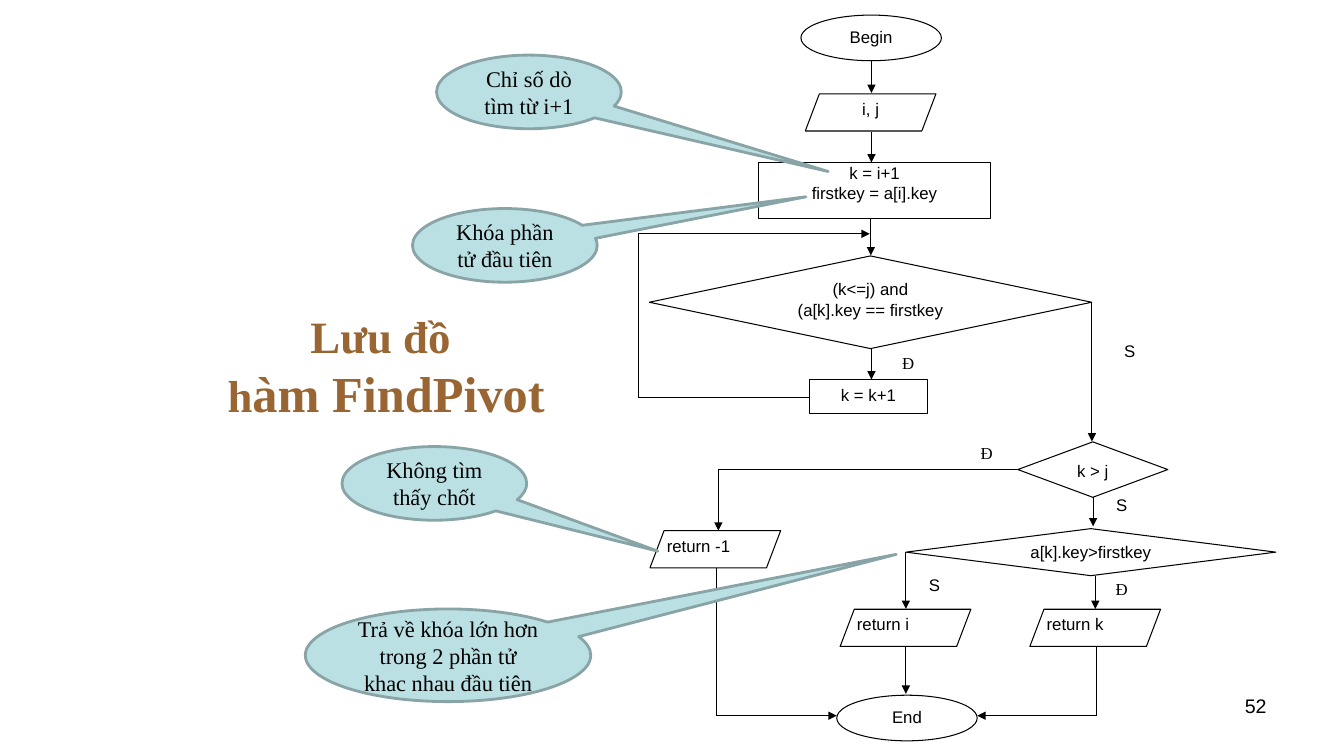
"""Build the flowchart slide for the FindPivot function."""
from itertools import pairwise

from lxml import etree
from pptx import Presentation
from pptx.dml.color import RGBColor
from pptx.enum.shapes import MSO_CONNECTOR, MSO_SHAPE
from pptx.enum.text import MSO_ANCHOR, PP_ALIGN
from pptx.oxml.ns import qn
from pptx.util import Pt

OVAL = MSO_SHAPE.OVAL
BOX = MSO_SHAPE.RECTANGLE
DECISION = MSO_SHAPE.FLOWCHART_DECISION
DATA = MSO_SHAPE.PARALLELOGRAM
CALLOUT = MSO_SHAPE.OVAL_CALLOUT
STRAIGHT = MSO_CONNECTOR.STRAIGHT
LEFT, CENTER, RIGHT = PP_ALIGN.LEFT, PP_ALIGN.CENTER, PP_ALIGN.RIGHT
TOP, MIDDLE = MSO_ANCHOR.TOP, MSO_ANCHOR.MIDDLE
SANS, SERIF = "Arial", "Times New Roman"
PADDED, TIGHT = (7.2, 3.6), (0, 0)


def color(value):
    return RGBColor.from_string(value)


def write(shape, text, size, font, align=CENTER, anchor=TOP, padding=PADDED, ink="000000"):
    frame = shape.text_frame
    frame.word_wrap = True
    frame.vertical_anchor = anchor
    frame.margin_left = frame.margin_right = Pt(padding[0])
    frame.margin_top = frame.margin_bottom = Pt(padding[1])
    frame.text = text
    for paragraph in frame.paragraphs:
        paragraph.alignment = align
        for run in paragraph.runs:
            run.font.size = Pt(size)
            run.font.name = font
            run.font.color.rgb = color(ink)


presentation = Presentation()
presentation.slide_width = Pt(960.5)
presentation.slide_height = Pt(540)
slide = presentation.slides.add_slide(presentation.slide_layouts[6])
shapes = slide.shapes

title = shapes.add_textbox(Pt(120), Pt(216), Pt(312), Pt(90))
write(title, "Lưu đồ \vh", 32, SERIF, anchor=MIDDLE, ink="996633")
title_paragraph = title.text_frame.paragraphs[0]
title_ending = title_paragraph.add_run()
title_ending.text = "àm FindPivot"
title_ending.font.size = Pt(36)
title_ending.font.name = SERIF
title_ending.font.color.rgb = color("996633")
for run in title_paragraph.runs:
    run.font.bold = True

nodes = [
    (OVAL, 572.4, 10.8, 100.4, 32.6, "Begin", CENTER, PADDED),
    (DATA, 575.5, 67, 93.4, 26.6, "i, j", CENTER, TIGHT),
    (BOX, 542.2, 116, 165.6, 40.2, "k = i+1\nfirstkey = a[i].key", CENTER, TIGHT),
    (DECISION, 464, 182.8, 316.2, 66.2, "(k<=j) and\n(a[k].key == firstkey", CENTER, TIGHT),
    (BOX, 578.8, 271, 83.8, 24.4, "k = k+1", CENTER, PADDED),
    (DECISION, 727.4, 315.6, 107.2, 39.6, "k > j", CENTER, PADDED),
    (DECISION, 647.4, 377.6, 264.4, 33.6, "a[k].key>firstkey", CENTER, (0, 0.7)),
    (DATA, 464.5, 379, 93.4, 26.6, "return -1", LEFT, TIGHT),
    (DATA, 600.4, 435.2, 93.4, 26.6, "return i", LEFT, TIGHT),
    (DATA, 736, 435.2, 93.4, 26.6, "return k", LEFT, TIGHT),
    (OVAL, 598, 496.6, 100.4, 32.6, "End", CENTER, PADDED),
]
for kind, left, top, width, height, text, align, padding in nodes:
    node = shapes.add_shape(kind, Pt(left), Pt(top), Pt(width), Pt(height))
    node.shadow.inherit = False
    node.fill.solid()
    node.fill.fore_color.rgb = color("FFFFFF")
    node.line.color.rgb = color("000000")
    node.line.width = Pt(0.75)
    if kind == DATA:
        node.adjustments[0] = 0.38
    write(node, text, 12, SANS, align, padding=padding)

branch_labels = [
    ("Đ", 635, 252),
    ("Đ", 691.2, 316.1),
    ("Đ", 787.7, 413.3),
    ("S", 793.4, 243.4),
    ("S", 787.7, 353.5),
    ("S", 653.8, 410.4),
]
for text, left, top in branch_labels:
    label = shapes.add_shape(BOX, Pt(left), Pt(top), Pt(28), Pt(15))
    label.shadow.inherit = False
    label.fill.solid()
    label.fill.fore_color.rgb = color("FFFFFF")
    label.line.fill.background()
    write(label, text, 12, SERIF if text == "Đ" else SANS, padding=TIGHT)

routes = [
    [(622.8, 43.9), (622.8, 66.5)],
    [(622.8, 94), (622.8, 116)],
    [(622.4, 156.2), (622.4, 182.5)],
    [(622.8, 249), (622.8, 271)],
    [(578.8, 283.7), (456, 283.7), (456, 167), (621.6, 167)],
    [(780.4, 216), (780.4, 315.4)],
    [(781.2, 355), (781.2, 376)],
    [(727.4, 335.5), (513.4, 335.5), (513.4, 379)],
    [(647.4, 394.4), (647.4, 435)],
    [(782.8, 411.6), (782.8, 435)],
    [(512, 405.6), (512, 511.2), (598, 511.2)],
    [(647.4, 461.8), (647.4, 495.6)],
    [(783.4, 461.8), (783.4, 511.2), (698.4, 511.2)],
]
for route in routes:
    for start, end in pairwise(route):
        connector = shapes.add_connector(
            STRAIGHT, Pt(start[0]), Pt(start[1]), Pt(end[0]), Pt(end[1]))
        connector.line.color.rgb = color("000000")
        connector.line.width = Pt(0.75)
        properties = connector._element.spPr
        etree.SubElement(properties, qn("a:effectLst"))
        if end == route[-1]:
            outline = properties.find(qn("a:ln"))
            etree.SubElement(outline, qn("a:tailEnd"), type="triangle")

page_number = shapes.add_textbox(Pt(688.3), Pt(491.8), Pt(224), Pt(37.4))
write(page_number, "52", 14, SANS, RIGHT)

callouts = [
    ("Không tìm thấy chốt", 244.4, 319, 132, 52.6, 1.21, 0.92),
    ("Trả về khóa lớn hơn trong 2 phần tử khac nhau đầu tiên", 218.2, 435, 204, 66.2, 1.57, -1.09),
    ("Khóa phần tử đầu tiên", 294.8, 149, 132, 52.6, 1.63, -0.66),
    ("Chỉ số dò tìm từ i+1", 312, 39.4, 132, 52.6, 1.62, 1.08),
]
for text, left, top, width, height, tip_x, tip_y in callouts:
    callout = shapes.add_shape(CALLOUT, Pt(left), Pt(top), Pt(width), Pt(height))
    callout.shadow.inherit = False
    callout.adjustments[0] = tip_x
    callout.adjustments[1] = tip_y
    callout.fill.solid()
    callout.fill.fore_color.rgb = color("BBE0E3")
    callout.line.color.rgb = color("89A4A7")
    callout.line.width = Pt(2)
    write(callout, text, 16, SERIF, anchor=MIDDLE)

presentation.save("out.pptx")
